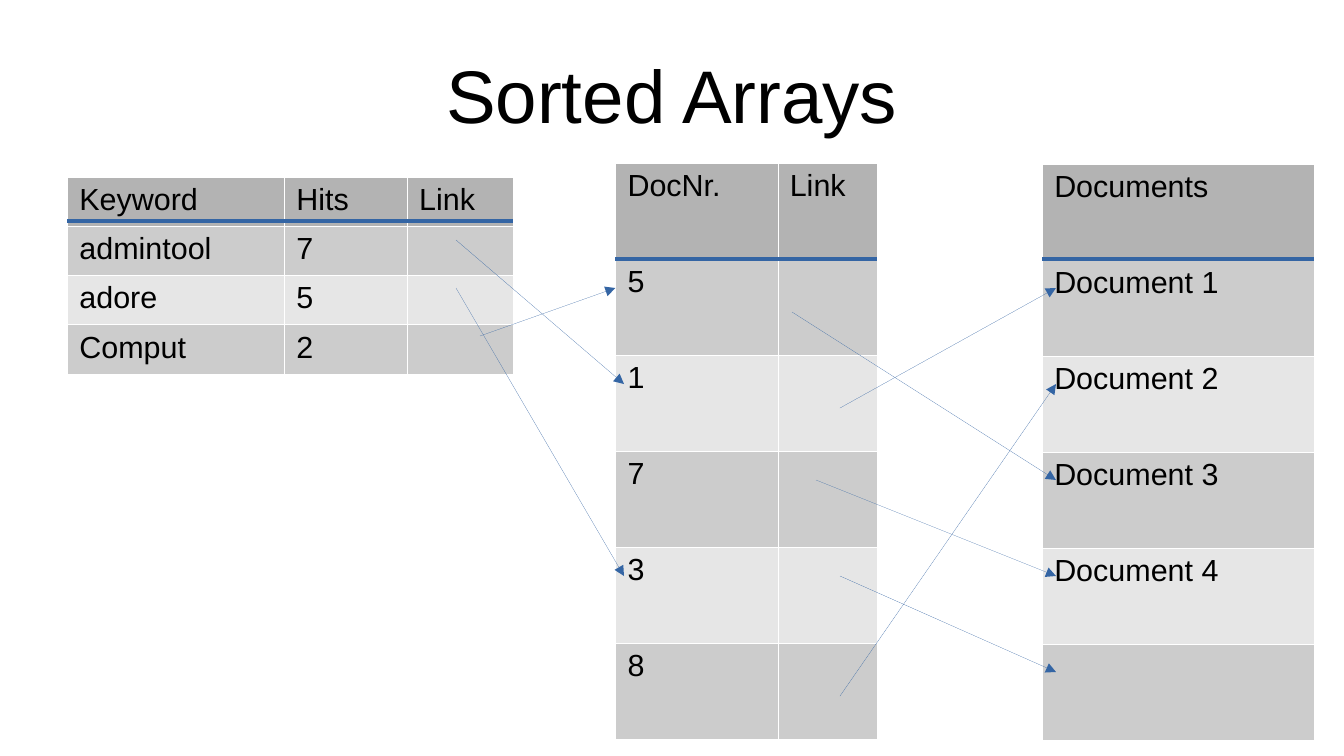
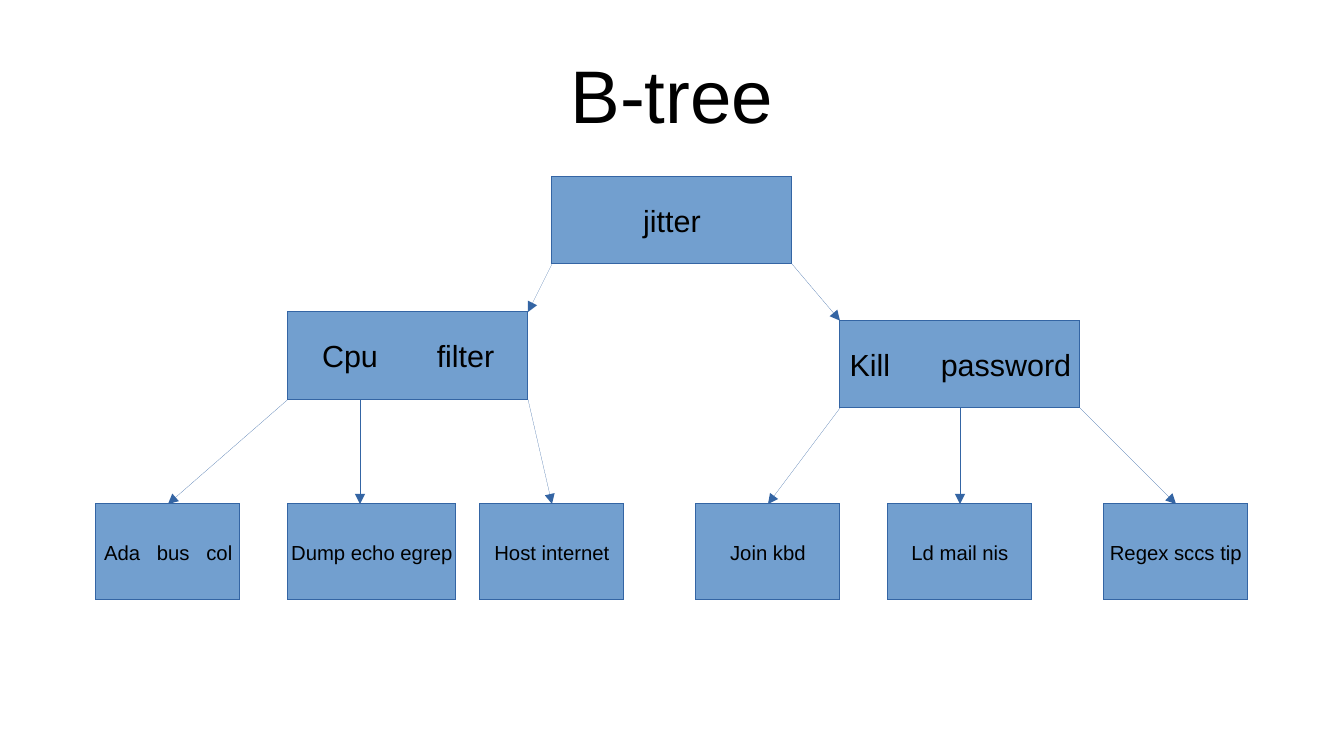
from dataclasses import dataclass
from itertools import product

from lxml import etree
from pptx import Presentation, util as u
from pptx.dml import color
from pptx.enum import shapes, text
from pptx.oxml import ns


@dataclass(frozen=True)
class Theme:
    font: str = "Arial"
    ink: str = "000000"
    line: str = "3465A4"
    box: str = "729FCF"
    head: str = "B3B3B3"
    bands: tuple = ("CCCCCC", "E6E6E6")
    edge: str = "FFFFFF"
    title: int = 44
    body: int = 18
    leaf: int = 12
    hair: float = 0
    rule: float = 2.3


LOOK = Theme()


def rgb(code):
    return color.RGBColor.from_string(code)


def cms(*spot):
    return [u.Cm(n) for n in spot]


def sub(node, tag, **attrs):
    return etree.SubElement(node, ns.qn(tag), attrs)


def style(frame, size, align):
    for para in frame.paragraphs:
        para.alignment = align
        for run in para.runs:
            run.font.name = LOOK.font
            run.font.size = u.Pt(size)
            run.font.color.rgb = rgb(LOOK.ink)


def stroke(shape, width):
    shape.line.color.rgb = rgb(LOOK.line)
    line = shape._element.spPr.find(ns.qn("a:ln"))
    line.set("w", str(u.Pt(width)))
    return line


def page(deck, title):
    slide = deck.slides.add_slide(deck.slide_layouts[5])
    frame = slide.shapes.title.text_frame
    frame.text = title
    frame.vertical_anchor = text.MSO_ANCHOR.MIDDLE
    frame.margin_left = frame.margin_right = 0
    frame.margin_top = frame.margin_bottom = 0
    style(frame, LOOK.title, text.PP_ALIGN.CENTER)
    return slide


def border(cell):
    props = cell._tc.get_or_add_tcPr()
    for i, side in enumerate(("L", "R", "T", "B")):
        line = etree.Element(ns.qn("a:ln" + side), w="762")
        sub(sub(line, "a:solidFill"), "a:srgbClr", val=LOOK.edge)
        props.insert(i, line)


def grid(slide, left, top, cols, high, rows):
    table = slide.shapes.add_table(
        len(rows), len(cols), *cms(left, top, sum(cols), high * len(rows))
    ).table
    table.first_row = table.horz_banding = False
    for col, wide in zip(table.columns, cols):
        col.width = u.Cm(wide)
    for row in table.rows:
        row.height = u.Cm(high)
    for r, c in product(range(len(rows)), range(len(cols))):
        cell = table.cell(r, c)
        cell.text = rows[r][c]
        style(cell.text_frame, LOOK.body, text.PP_ALIGN.LEFT)
        cell.fill.solid()
        cell.fill.fore_color.rgb = rgb(LOOK.bands[(r - 1) % 2] if r else LOOK.head)
        border(cell)


def link(slide, start, end, width=LOOK.hair, head=True):
    wire = slide.shapes.add_connector(
        shapes.MSO_CONNECTOR.STRAIGHT, *cms(*start, *end)
    )
    line = stroke(wire, width)
    if head:
        sub(line, "a:tailEnd", type="triangle")
    sub(wire._element.spPr, "a:effectLst")
    return wire


def box(slide, spot, words, size, stops=()):
    rect = slide.shapes.add_shape(shapes.MSO_SHAPE.RECTANGLE, *cms(*spot))
    rect.shadow.inherit = False
    rect.fill.solid()
    rect.fill.fore_color.rgb = rgb(LOOK.box)
    stroke(rect, LOOK.hair)
    frame = rect.text_frame
    frame.text = words
    frame.vertical_anchor = text.MSO_ANCHOR.MIDDLE
    frame.word_wrap = bool(stops)
    style(frame, size, text.PP_ALIGN.LEFT if stops else text.PP_ALIGN.CENTER)
    if stops:
        frame.margin_left, frame.margin_right = u.Cm(stops[0]), 0
        tabs = sub(frame.paragraphs[0]._p.get_or_add_pPr(), "a:tabLst")
        for stop in stops[1:]:
            sub(tabs, "a:tab", pos=str(u.Cm(stop - stops[0])), algn="l")
    return rect


def arrays(deck):
    slide = page(deck, "Sorted Arrays")
    words = [("Keyword", "Hits", "Link"), ("admintool", "7", ""),
             ("adore", "5", ""), ("Comput", "2", "")]
    hits = [("DocNr.", "Link")] + [(n, "") for n in "51738"]
    docs = [("Documents",)] + [(f"Document {n}",) for n in range(1, 5)] + [("",)]
    tables = [
        (1.4, 3.68, (4.52, 2.56, 2.21), 1.02, words, 4.6),
        (12.82, 3.4, (3.38, 2.08), 2, hits, 5.4),
        (21.71, 3.42, (5.66,), 2, docs, 5.4),
    ]
    for left, top, cols, high, rows, _ in tables:
        grid(slide, left, top, cols, high, rows)
    for start, end in (
        ((9.5, 5), (13, 8)),
        ((10, 7), (12.82, 6)),
        ((9.5, 6), (13, 12)),
        ((17.5, 8.5), (22, 6)),
        ((17, 10), (22, 12)),
        ((16.5, 6.5), (22, 10)),
        ((17.5, 14.5), (22, 8)),
        ((17.5, 12), (22, 14)),
    ):
        link(slide, start, end)
    for left, _, cols, _, _, y in tables:
        link(slide, (left, y), (left + sum(cols), y), LOOK.rule, False)


def tree(deck):
    slide = page(deck, "B-tree")
    wide, high, floor = 5, 1.82, 10.5
    root, low, top = (11.5, 3.68), (6, 6.5), (17.5, 6.68)
    box(slide, (*root, wide, high), "jitter", LOOK.body)
    box(slide, (*low, wide, high), "Cpu\tfilter", LOOK.body, (0.71, 3.1))
    kill = box(slide, (*top, wide, high), "Kill\tpassword", LOOK.body, (0.2, 2.1))
    leaves = [
        (2, 3, "Ada\tbus\tcol", (0.17, 1.27, 2.3)),
        (6, 3.5, "Dump echo egrep", ()),
        (10, 3, "Host internet", ()),
        (14.5, 3, "Join kbd", ()),
        (18.5, 3, "Ld mail nis", ()),
        (23, 3, "Regex sccs tip", ()),
    ]
    rects = [box(slide, (x, floor, w, 2), words, LOOK.leaf, stops)
             for x, w, words, stops in leaves]

    base = root[1] + high
    link(slide, (root[0], base), (low[0] + wide, low[1]))
    link(slide, (root[0] + wide, base), top)
    starts = [(x + step, y + high) for (x, y), mid in ((low, 1.5), (top, wide / 2))
              for step in (0, mid, wide)]
    for start, rect, (x, _, _, _) in zip(starts, rects, leaves):
        wire = link(slide, start, (x + 1.5, floor))
        if rect is not rects[1]:
            wire.end_connect(rect, 0)
        if rect is rects[4]:
            wire.begin_connect(kill, 2)


def main():
    deck = Presentation()
    deck.slide_width, deck.slide_height = cms(28, 15.75)
    title = deck.slide_layouts[5].placeholders[0]
    title.left, title.top, title.width, title.height = cms(1.4, 0.63, 25.2, 2.63)
    arrays(deck)
    tree(deck)
    deck.save("out.pptx")


if __name__ == "__main__":
    main()
